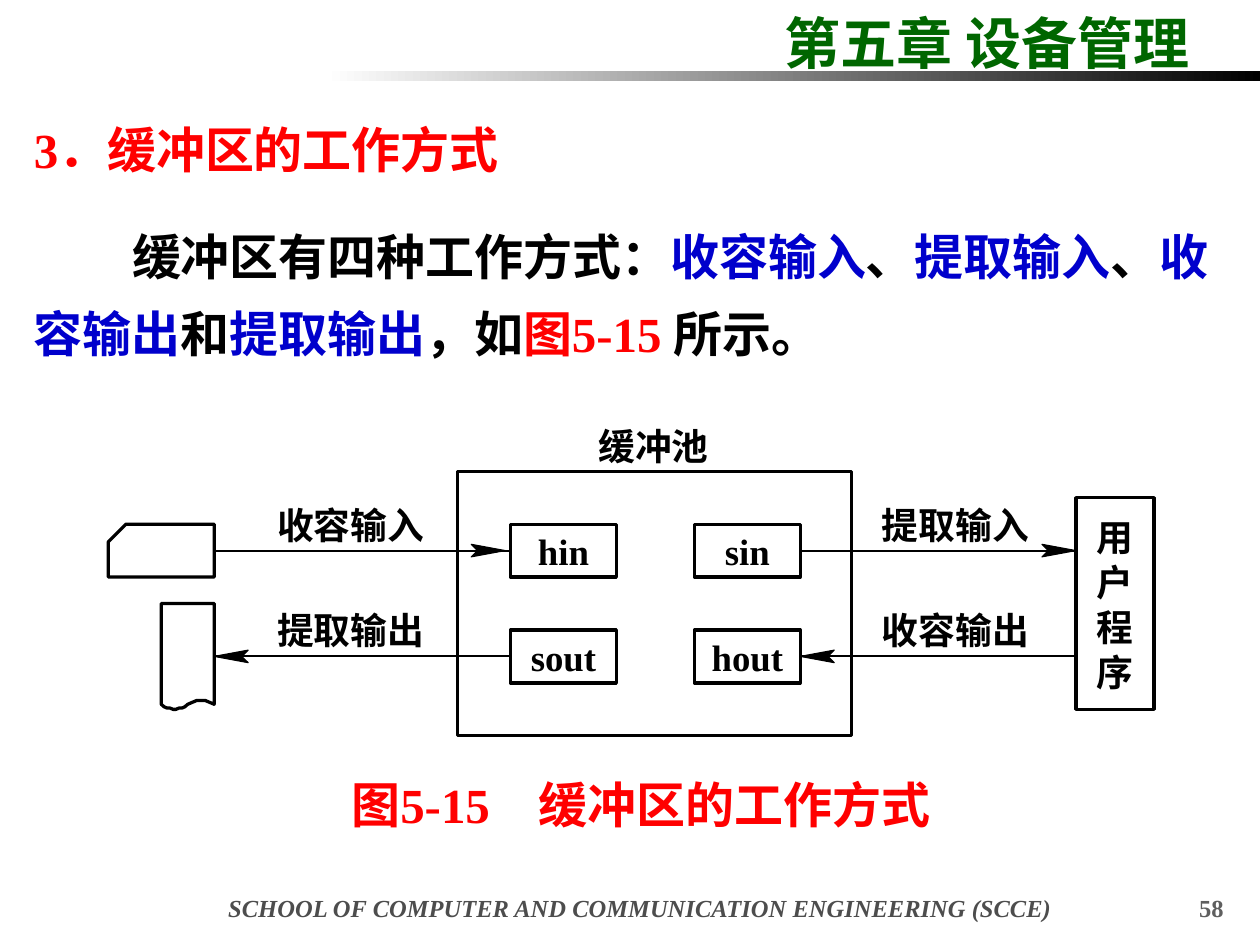
"""Builds the slide on the four working modes of a buffer pool."""
from lxml.etree import SubElement
from pptx import Presentation
from pptx.dml.color import RGBColor
from pptx.enum.shapes import MSO_CONNECTOR as CONN, MSO_SHAPE as SHAPE
from pptx.enum.text import MSO_ANCHOR as ANCHOR, MSO_AUTO_SIZE as AUTO, PP_ALIGN as ALIGN
from pptx.oxml.ns import qn
from pptx.util import Inches, Pt

LATIN, CJK = "Times New Roman", "Noto Sans CJK SC"
BLACK, RED, BLUE = "000000", "FF0000", "0000CC"
CELL = 0.21
LABEL = {"size": Pt(21), "bold": True}


def rgb(value):
    """Return the colour of a hex string."""
    return RGBColor.from_string(value)


def col(n):
    """Return the x of a diagram column in inches."""
    return 0.86 + CELL * n


def row(n):
    """Return the y of a diagram row in inches."""
    return 3.74 + CELL * n


def add_paragraph(tf, runs, first, font, **para):
    """Write one paragraph of (text, colour) runs."""
    p = tf.paragraphs[0] if first else tf.add_paragraph()
    for name, value in para.items():
        setattr(p, name, value)
    for text, colour in runs:
        r = p.add_run()
        r.text = text
        for name, value in {"name": LATIN, **font}.items():
            setattr(r.font, name, value)
        r.font.color.rgb = rgb(colour)
        SubElement(r.font._element, qn("a:ea"), typeface=CJK)
    return p


def set_frame(tf, inset, wrap):
    """Set the insets, wrapping and anchor of a text frame."""
    values = {"margin_left": 0.1, "margin_right": 0.1, "margin_top": 0.05, "margin_bottom": 0.05}
    for name, value in values.items():
        setattr(tf, name, Inches(value if inset else 0))
    tf.word_wrap = wrap


def add_text(s, box, runs, font, inset=True, wrap=False, **para):
    """Add a text box with one paragraph and return its frame."""
    tf = s.shapes.add_textbox(*map(Inches, box)).text_frame
    set_frame(tf, inset, wrap)
    tf.auto_size = AUTO.NONE if wrap else AUTO.SHAPE_TO_FIT_TEXT
    add_paragraph(tf, runs, True, font, **para)
    return tf


def add_box(s, c, r, columns, rows, lines=(), **para):
    """Add an outlined grid box with centred lines of text."""
    box = (col(c), row(r), CELL * columns, CELL * rows)
    sp = s.shapes.add_shape(SHAPE.RECTANGLE, *map(Inches, box))
    sp.shadow.inherit = False
    sp.fill.background()
    sp.line.color.rgb, sp.line.width = rgb(BLACK), Pt(1.87)
    set_frame(sp.text_frame, False, False)
    sp.text_frame.vertical_anchor = ANCHOR.MIDDLE
    for i, text in enumerate(lines):
        add_paragraph(sp.text_frame, [(text, BLACK)], i == 0, LABEL, alignment=ALIGN.CENTER, **para)
    return sp


def add_outline(s, points, fill="FFFFFF", width=1.87):
    """Add a closed outline through points given in inches."""
    start, *rest = [(Inches(x), Inches(y)) for x, y in points]
    builder = s.shapes.build_freeform(*start)
    builder.add_line_segments(rest, close=True)
    sp = builder.convert_to_shape()
    sp.shadow.inherit = False
    sp.fill.solid()
    sp.fill.fore_color.rgb = rgb(fill)
    sp.line.color.rgb, sp.line.width = rgb(BLACK), Pt(width)


def add_flow(s, box, side, end_x, r, tip_x, direction):
    """Join a box side to end_x and put a barbed head at tip_x."""
    y = row(r)
    line = s.shapes.add_connector(CONN.STRAIGHT, 0, 0, Inches(end_x), Inches(y))
    line.begin_connect(box, side)
    line.line.color.rgb, line.line.width = rgb(BLACK), Pt(1.13)
    SubElement(line._element.spPr, qn("a:effectLst"))
    back, notch = tip_x - 0.27 * direction, tip_x - 0.22 * direction
    add_outline(s, [(back, y - 0.05), (notch, y), (back, y + 0.05), (tip_x, y)], BLACK, 0.62)


def add_chrome(s, width, height):
    """Add the chapter title, the gradient rule and the footer."""
    bar = s.shapes.add_shape(SHAPE.RECTANGLE, int(width * 0.258), int(height * 0.075),
                             int(width * 0.742), Inches(0.08))
    bar.shadow.inherit = False
    bar.line.fill.background()
    bar.fill.gradient()
    bar.fill.gradient_angle = 0
    for stop, colour in zip(bar.fill.gradient_stops, ("FFFFFF", BLACK)):
        stop.color.rgb = rgb(colour)
    add_text(s, (6.13, 0.02, 3.83, 0.64), [("第五章 设备管理", "006600")],
             {"size": Pt(32), "bold": True})
    small = {"size": Pt(14), "bold": True}
    add_text(s, (1.22, 7.04, 7.72, 0.34),
             [("SCHOOL OF COMPUTER AND COMMUNICATION ENGINEERING (SCCE)", "4D4D4D")],
             {**small, "italic": True}, wrap=True, alignment=ALIGN.CENTER)
    add_text(s, (9.16, 7.04, 0.65, 0.28), [("58", "5F5F5F")], small, wrap=True,
             alignment=ALIGN.RIGHT, space_before=Pt(8.8))


def add_body(s):
    """Add the heading, the sentence on the four modes and the caption."""
    font = {"size": Pt(28), "bold": True}
    spacing = {"line_spacing": 1.3, "space_before": Pt(17.5)}
    tf = add_text(s, (0.17, 0.76, 9.67, 2.17), [("3．缓冲区的工作方式", RED)], font,
                  wrap=True, alignment=ALIGN.JUSTIFY, **spacing)
    runs = [("缓冲区有四种工作方式：", BLACK), ("收容输入", BLUE), ("、", BLACK),
            ("提取输入", BLUE), ("、", BLACK), ("收容输出", BLUE), ("和", BLACK),
            ("提取输出", BLUE), ("，如", BLACK), ("图5-15 ", RED), ("所示。", BLACK)]
    p = add_paragraph(tf, runs, False, font, **spacing)
    p._p.get_or_add_pPr().set("indent", str(Inches(0.78)))
    add_text(s, (2.69, 6.1, 5.05, 0.57), [("图5-15　缓冲区的工作方式", RED)], font)


def add_diagram(s):
    """Add the buffer pool, the devices, the user program and the flows."""
    add_box(s, 13.2, 0, 14.9, 10)
    hin, sin, sout, hout = [add_box(s, c, r, 4, 2, [name]) for name, c, r in (
        ("hin", 15.2, 2), ("sin", 22.15, 2), ("sout", 15.2, 6), ("hout", 22.15, 6))]
    user_x, device_x = col(36.57), col(4)
    add_box(s, 36.57, 1, 2.95, 8, "用户程序", line_spacing=Pt(25.7))

    add_outline(s, [(col(0), row(4)), (device_x, row(4)), (device_x, row(2)),
                    (col(0.67), row(2)), (col(0), row(2.67))])
    wave = (0, 0.01, 0.02, 0.03, 0.03, 0.03, 0.03, 0.02, 0.01,
            0, -0.02, -0.03, -0.03, -0.04, -0.04, -0.03, -0.03, -0.02, 0)
    step = 2 / (len(wave) - 1)
    add_outline(s, [(col(2), row(5)), (device_x, row(5))]
                + [(col(4 - step * i), 5.59 - dy) for i, dy in enumerate(wave)])

    for flow in ((hin, 1, device_x, 3, 4.01, 1), (sout, 1, device_x, 7, device_x, -1),
                 (sin, 3, user_x, 3, user_x, 1), (hout, 3, user_x, 7, col(26.15), -1)):
        add_flow(s, *flow)
    for text, x, y, width in (("缓冲池", 4.75, 3.36, 0.88),
                              ("收容输入", 2.2, 3.99, 1.17), ("提取输出", 2.2, 4.82, 1.17),
                              ("提取输入", 7, 3.99, 1.17), ("收容输出", 7, 4.82, 1.17)):
        add_text(s, (x, y, width, 0.35), [(text, BLACK)], LABEL, inset=False)


def main():
    """Build and save the slide."""
    prs = Presentation()
    prs.slide_width, prs.slide_height = Inches(10), Inches(7.5)
    s = prs.slides.add_slide(prs.slide_layouts[6])
    add_chrome(s, prs.slide_width, prs.slide_height)
    add_body(s)
    add_diagram(s)
    prs.save("out.pptx")


if __name__ == "__main__":
    main()
